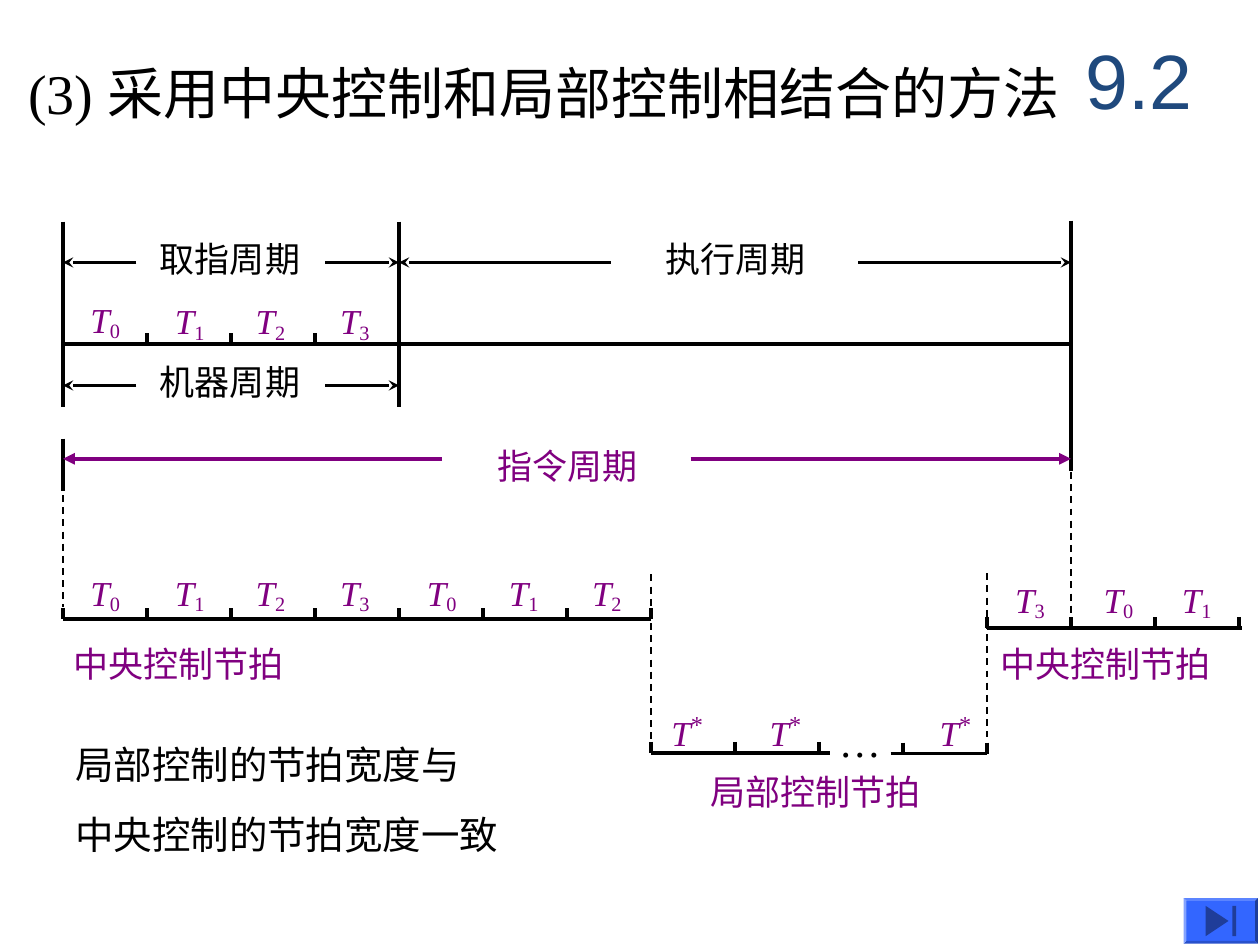
from lxml.etree import SubElement
from pptx import Presentation
from pptx.dml.color import RGBColor
from pptx.enum.dml import MSO_LINE
from pptx.enum.shapes import MSO_CONNECTOR, MSO_SHAPE
from pptx.enum.text import MSO_ANCHOR, MSO_AUTO_SIZE, PP_ALIGN
from pptx.oxml.ns import qn
from pptx.util import Pt

BLACK = RGBColor(0x00, 0x00, 0x00)
PURPLE = RGBColor(0x80, 0x00, 0x80)
NAVY = RGBColor(0x1F, 0x49, 0x7D)
BLUE = RGBColor(0x33, 0x66, 0xFF)
DARK = RGBColor(0x1F, 0x3D, 0x99)
SERIF = "Times New Roman"
LEFT, STEP = 36, 48


def beat(n):
    """Give the x of the n-th beat mark, the grid all the timelines share."""
    return LEFT + n * STEP


def add_run(para, text, size, color, font=SERIF, italic=False, base=0):
    run = para.add_run()
    run.text = text
    run.font.size = Pt(size)
    run.font.name = font
    run.font.italic = italic
    run.font.color.rgb = color
    if base:
        run.font._element.set("baseline", str(base * 1000))


def place(shape, x, y, w, h):
    shape.left, shape.top = Pt(x), Pt(y)
    shape.width, shape.height = Pt(w), Pt(h)


def add_box(slide, x, y, w, h):
    frame = slide.shapes.add_textbox(Pt(x), Pt(y), Pt(w), Pt(h)).text_frame
    frame.word_wrap = True
    frame.auto_size = MSO_AUTO_SIZE.SHAPE_TO_FIT_TEXT
    return frame


def add_label(slide, text, x, y, w, color=BLACK):
    frame = add_box(slide, x, y, w, 31.7)
    add_run(frame.paragraphs[0], text, 20, color)


def add_beat(slide, mark, x, y):
    """Write an italic T with a lowered digit or a raised star."""
    para = add_box(slide, x, y, 38, 32.4).paragraphs[0]
    add_run(para, "T", 20, PURPLE, italic=True)
    if mark == "*":
        add_run(para, mark, 24, PURPLE, base=30)
    else:
        add_run(para, mark, 20, PURPLE, base=-15)


def add_line(slide, x1, y1, x2, y2, width=2.25, color=BLACK, head=None):
    line = slide.shapes.add_connector(
        MSO_CONNECTOR.STRAIGHT, Pt(x1), Pt(y1), Pt(x2), Pt(y2))
    line.line.width = Pt(width)
    line.line.color.rgb = color
    if head:
        SubElement(line.line._get_or_add_ln(), qn("a:tailEnd"), type=head)
    SubElement(line._element.spPr, qn("a:effectLst"))
    return line


def add_axis(slide, x1, x2, y, ticks):
    add_line(slide, x1, y, x2, y)
    for n in ticks:
        add_line(slide, beat(n), y - 6.2, beat(n), y)


def add_span(slide, text, y, ends, gap, label, color=BLACK):
    """Draw two arrows out from a label to the ends of a period."""
    bold = color == PURPLE
    head, width = ("triangle", 2.25) if bold else ("stealth", 1.5)
    for inner, end in zip(gap, ends):
        add_line(slide, inner, y, end, y, width, color, head)
    add_label(slide, text, *label, 100, color)


def add_title(slide):
    title = slide.shapes.title
    place(title, 8.9, 30, 630, 46)
    frame = title.text_frame
    frame.word_wrap = True
    frame.auto_size = MSO_AUTO_SIZE.SHAPE_TO_FIT_TEXT
    frame.vertical_anchor = MSO_ANCHOR.TOP
    para = frame.paragraphs[0]
    para.alignment = PP_ALIGN.LEFT
    add_run(para, "(3) 采用中央控制和局部控制相结合的方法", 32, BLACK)


def add_section(slide):
    frame = add_box(slide, 606, 12, 90, 66.2)
    frame.auto_size = MSO_AUTO_SIZE.NONE
    frame.vertical_anchor = MSO_ANCHOR.MIDDLE
    frame.paragraphs[0].alignment = PP_ALIGN.CENTER
    add_run(frame.paragraphs[0], "9.2", 44, NAVY, "Arial")


def add_cycles(slide):
    for x, y1, y2 in ((beat(0), 126.7, 232.6), (beat(4), 126.7, 232.6),
                      (beat(12), 126, 269.3), (beat(0), 250.6, 280.8)):
        add_line(slide, x, y1, x, y2)
    add_axis(slide, beat(0), beat(12), 196.5, range(1, 4))
    fetch, gap = (beat(0), beat(4)), (78, 186)
    add_span(slide, "取指周期", 150, fetch, gap, (84.3, 132.2))
    add_span(slide, "机器周期", 220.3, fetch, gap, (84.3, 202.5))
    add_span(slide, "执行周期", 150, (beat(4), beat(12)), (349, 490.5),
             (373, 132.2))
    add_span(slide, "指令周期", 262.2, (beat(0), beat(12)), (252.7, 394.6),
             (277.2, 250.6), PURPLE)


def add_beats(slide):
    add_axis(slide, beat(0), beat(7), 353.8, range(8))
    add_axis(slide, beat(11), 709.7, 358.8, range(11, 15))
    add_axis(slide, beat(7), 474.5, 430.2, range(7, 10))
    add_axis(slide, 509, beat(11), 430.6, (10, 11))
    rows = (
        ("0", 167, (44.6,)),
        ("123", 167.9, (92.9, 139, 187.2)),
        ("0123012", 322.8, (44.6, 92.9, 139, 187.2, 236.9, 283.7, 331.2)),
        ("301", 326.9, (573, 623.5, 668.2)),
        ("***", 398.9, (376.6, 432.7, 529.9)),
    )
    for marks, y, places in rows:
        for mark, x in zip(marks, places):
            add_beat(slide, mark, x, y)
    for text, x, y in (("中央控制节拍", 34.8, 363.6),
                       ("中央控制节拍", 564.5, 363.6),
                       ("局部控制节拍", 398.9, 437)):
        add_label(slide, text, x, y, 140, PURPLE)
    dots = add_box(slide, 472.3, 405.4, 56.9, 36)
    add_run(dots.paragraphs[0], "…", 24, BLACK)


def add_guides(slide):
    for n, y1, y2 in ((7, 328.3, 422.6), (11, 327.6, 421.2),
                      (12, 262.8, 352.1), (0, 262.1, 347)):
        guide = add_line(slide, beat(n), y1, beat(n), y2, 1)
        guide.line.dash_style = MSO_LINE.DASH


def add_note(slide):
    frame = add_box(slide, 36, 419.8, 354.2, 74.2)
    add_run(frame.paragraphs[0], "局部控制的节拍宽度与", 22, BLACK)
    para = frame.add_paragraph()
    para.space_before = Pt(13.8)
    add_run(para, "中央控制的节拍宽度一致", 22, BLACK)


def paint(shape, color):
    shape.shadow.inherit = False
    shape.fill.solid()
    shape.fill.fore_color.rgb = color
    shape.line.fill.background()


def add_button(slide):
    shapes = slide.shapes
    base = shapes.add_shape(
        MSO_SHAPE.BEVEL, Pt(676.4), Pt(513.2), Pt(42.4), Pt(26))
    base.adjustments[0] = 0.06
    paint(base, BLUE)
    draw = shapes.build_freeform(Pt(702), Pt(526.3))
    draw.add_line_segments([(Pt(689), Pt(535)), (Pt(689), Pt(517.7))])
    paint(draw.convert_to_shape(), DARK)
    bar = shapes.add_shape(
        MSO_SHAPE.RECTANGLE, Pt(704.2), Pt(517.7), Pt(2.2), Pt(17.3))
    paint(bar, DARK)


def main():
    deck = Presentation()
    deck.slide_width, deck.slide_height = Pt(720), Pt(540)
    slide = deck.slides.add_slide(deck.slide_layouts[5])
    add_title(slide)
    add_section(slide)
    add_guides(slide)
    add_cycles(slide)
    add_beats(slide)
    add_note(slide)
    add_button(slide)
    deck.save("out.pptx")


if __name__ == "__main__":
    main()
